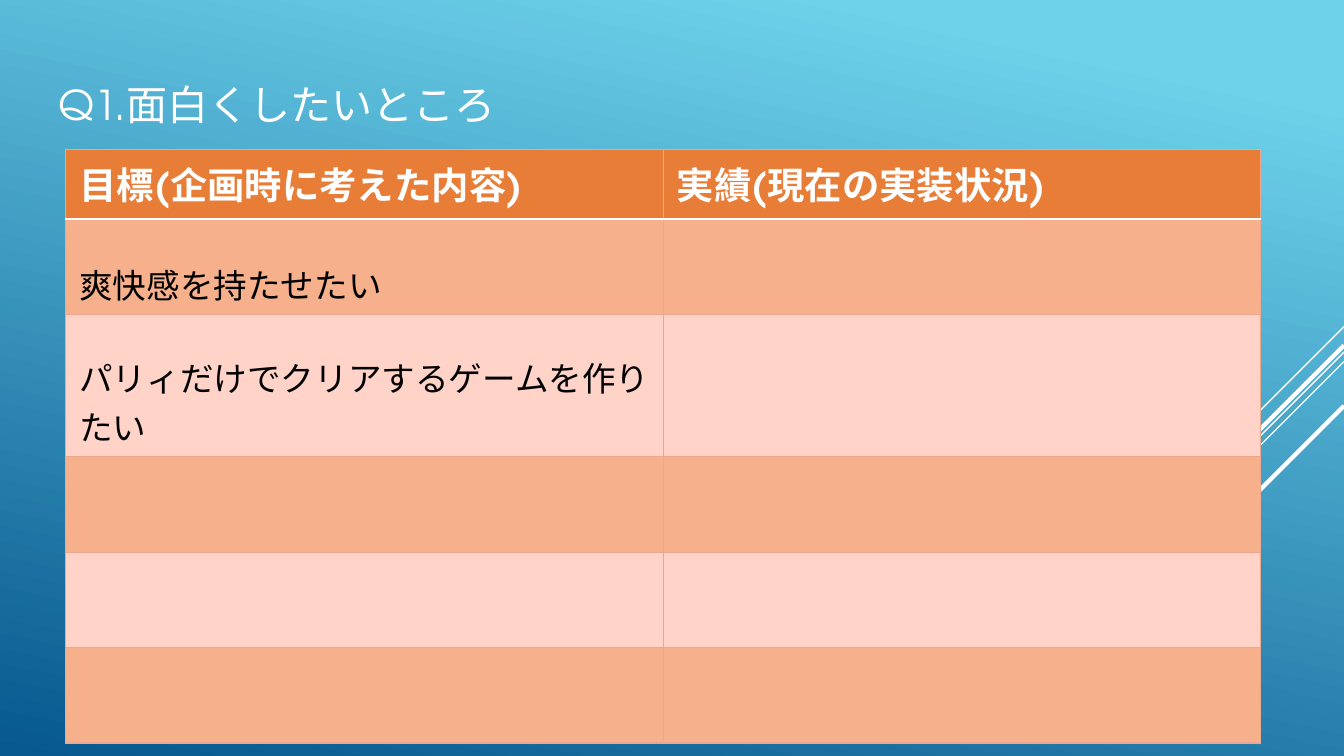
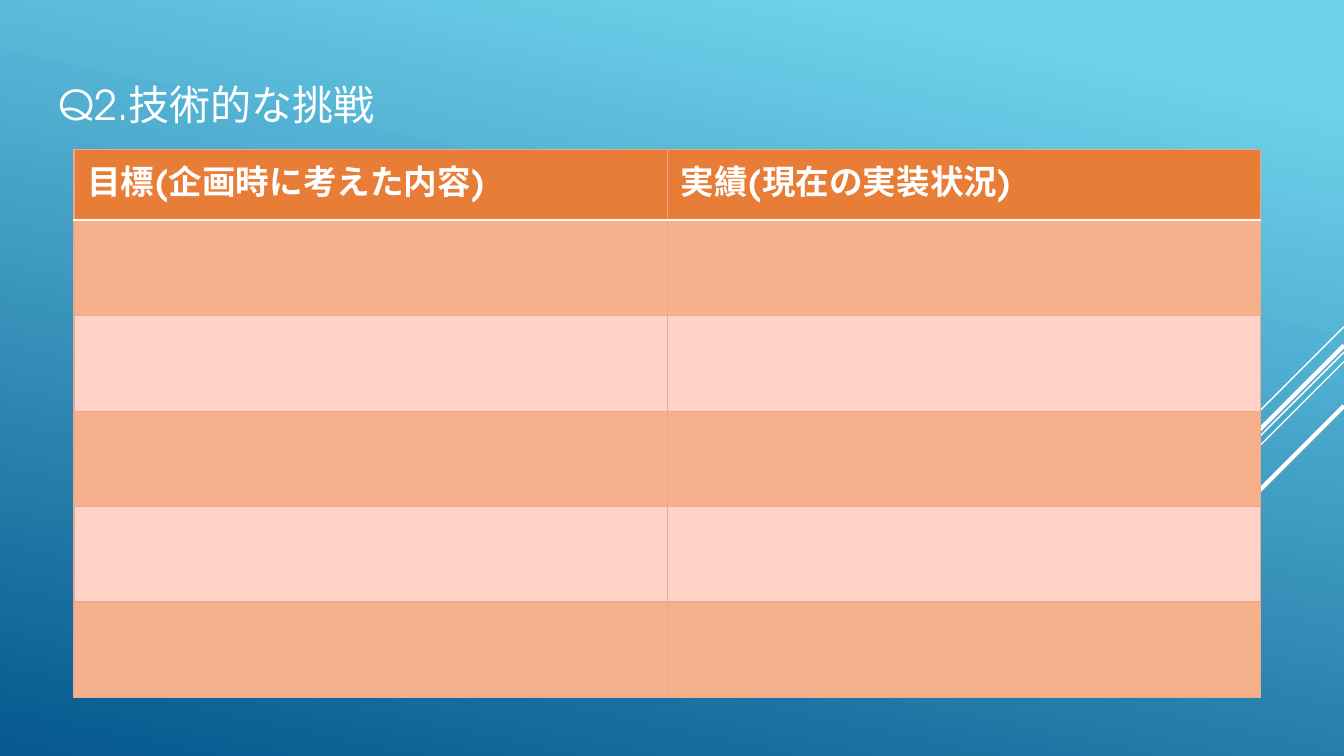
from lxml import etree
from pptx import Presentation
from pptx.dml.color import RGBColor
from pptx.enum.shapes import MSO_CONNECTOR
from pptx.enum.text import MSO_ANCHOR
from pptx.oxml.ns import qn
from pptx.util import Inches, Pt

STRAIGHT = MSO_CONNECTOR.STRAIGHT
TOP, BOTTOM = MSO_ANCHOR.TOP, MSO_ANCHOR.BOTTOM

PAGE_WIDTH = 10
PAGE_HEIGHT = PAGE_WIDTH * 9 / 16
FONT = "TeX Gyre Adventor"
WHITE, BLACK = "FFFFFF", "000000"
SKY, NAVY = "6ED2EB", "06588E"
ORANGE, DARK_BAND, PALE_BAND = "E87D37", "F6B08C", "FFD3C7"
GRID_LINE = (0.75, "EEA78F", 60)
HEADER_LINE = (1.25, WHITE, 100)

TITLE_BOX = (0.34, 0.49, 9.32, 0.63)
TABLE_TOP, TABLE_RIGHT = 1.11, 9.38
ROW_HEIGHT, TALL_ROW_HEIGHT = 0.71, 1.06
HEADINGS = ("目標(企画時に考えた内容)", "実績(現在の実装状況)")
GOAL_ROWS = 5

# Start height on the right edge, horizontal reach, line width
RAYS = [
    (2.43, 0.75, 0.75),
    (2.62, 2.45, 0.75),
    (2.69, 1.56, 0.75),
    (2.57, 1.43, 2.25),
    (3.02, 1.04, 2.25),
]


def rgb(color):
    return RGBColor.from_string(color)


def style_paragraph(para, size, color, bold=False):
    para.font.name = FONT
    para.font.size = Pt(size)
    para.font.bold = bold
    para.font.color.rgb = rgb(color)


def paint_background(master):
    fill = master.background.fill
    fill.gradient()
    fill.gradient_angle = 360 - 102
    for stop, position, color in zip(fill.gradient_stops, (0.1, 1), (SKY, NAVY)):
        stop.position = position
        stop.color.rgb = rgb(color)


def add_rays(page):
    """Draw the 45-degree lines that run down from the right edge."""
    for start, reach, width in RAYS:
        ray = page.shapes.add_connector(
            STRAIGHT, Inches(PAGE_WIDTH), Inches(start),
            Inches(PAGE_WIDTH - reach), Inches(start + reach))
        ray.line.color.rgb = rgb(WHITE)
        ray.line.width = Pt(width)
        etree.SubElement(ray._element.spPr, qn("a:effectLst"))


def add_title(page, text):
    box = page.shapes.add_textbox(*map(Inches, TITLE_BOX))
    frame = box.text_frame
    frame.word_wrap = True
    frame.vertical_anchor = TOP
    frame.margin_left = frame.margin_right = Inches(0.1)
    frame.margin_top = frame.margin_bottom = Inches(0.1)
    frame.text = text
    style_paragraph(frame.paragraphs[0], 22, WHITE)


def set_border(cell, side, line):
    width, color, opacity = line
    border = etree.SubElement(cell._tc.get_or_add_tcPr(), qn(f"a:ln{side}"),
                              w=str(Pt(width)))
    fill = etree.SubElement(border, qn("a:solidFill"))
    tint = etree.SubElement(fill, qn("a:srgbClr"), val=color)
    if opacity < 100:
        etree.SubElement(tint, qn("a:alpha"), val=str(opacity * 1000))


def style_cell(cell, row, header_size):
    """Give a cell the borders, band fill and text style of its row."""
    is_header = row == 0
    set_border(cell, "L", GRID_LINE)
    set_border(cell, "R", GRID_LINE)
    set_border(cell, "T", HEADER_LINE if row == 1 else GRID_LINE)
    set_border(cell, "B", HEADER_LINE if is_header else GRID_LINE)
    cell.fill.solid()
    band = DARK_BAND if row % 2 else PALE_BAND
    cell.fill.fore_color.rgb = rgb(ORANGE if is_header else band)
    cell.vertical_anchor = TOP if is_header else BOTTOM
    style_paragraph(cell.text_frame.paragraphs[0],
                    header_size if is_header else 18,
                    WHITE if is_header else BLACK, is_header)


def add_goal_table(page, left, header_height, header_size, goals, tall_rows):
    heights = [header_height] + [
        TALL_ROW_HEIGHT if row in tall_rows else ROW_HEIGHT
        for row in range(1, GOAL_ROWS + 1)]
    width = TABLE_RIGHT - left
    table = page.shapes.add_table(
        len(heights), len(HEADINGS), Inches(left), Inches(TABLE_TOP),
        Inches(width), Inches(sum(heights))).table
    table.first_row = table.horz_banding = False
    for row, height in enumerate(heights):
        table.rows[row].height = Inches(height)
    for column, heading in enumerate(HEADINGS):
        table.cell(0, column).text = heading
    for row, goal in enumerate(goals, start=1):
        table.cell(row, 0).text = goal
    for row in range(len(heights)):
        for column in range(len(HEADINGS)):
            style_cell(table.cell(row, column), row, header_size)


def add_question_page(deck, title, **table_options):
    page = deck.slides.add_slide(deck.slide_layouts[6])
    add_rays(page)
    add_title(page, title)
    add_goal_table(page, **table_options)


def main():
    deck = Presentation()
    deck.slide_width = Inches(PAGE_WIDTH)
    deck.slide_height = Inches(PAGE_HEIGHT)
    paint_background(deck.slide_master)
    add_question_page(
        deck, "Q1.面白くしたいところ", left=0.49, header_height=0.52, header_size=20,
        goals=["爽快感を持たせたい", "パリィだけでクリアするゲームを作りたい"],
        tall_rows=[2])
    add_question_page(
        deck, "Q2.技術的な挑戦", left=0.55, header_height=0.53, header_size=18,
        goals=[], tall_rows=[])
    deck.save("out.pptx")


if __name__ == "__main__":
    main()
